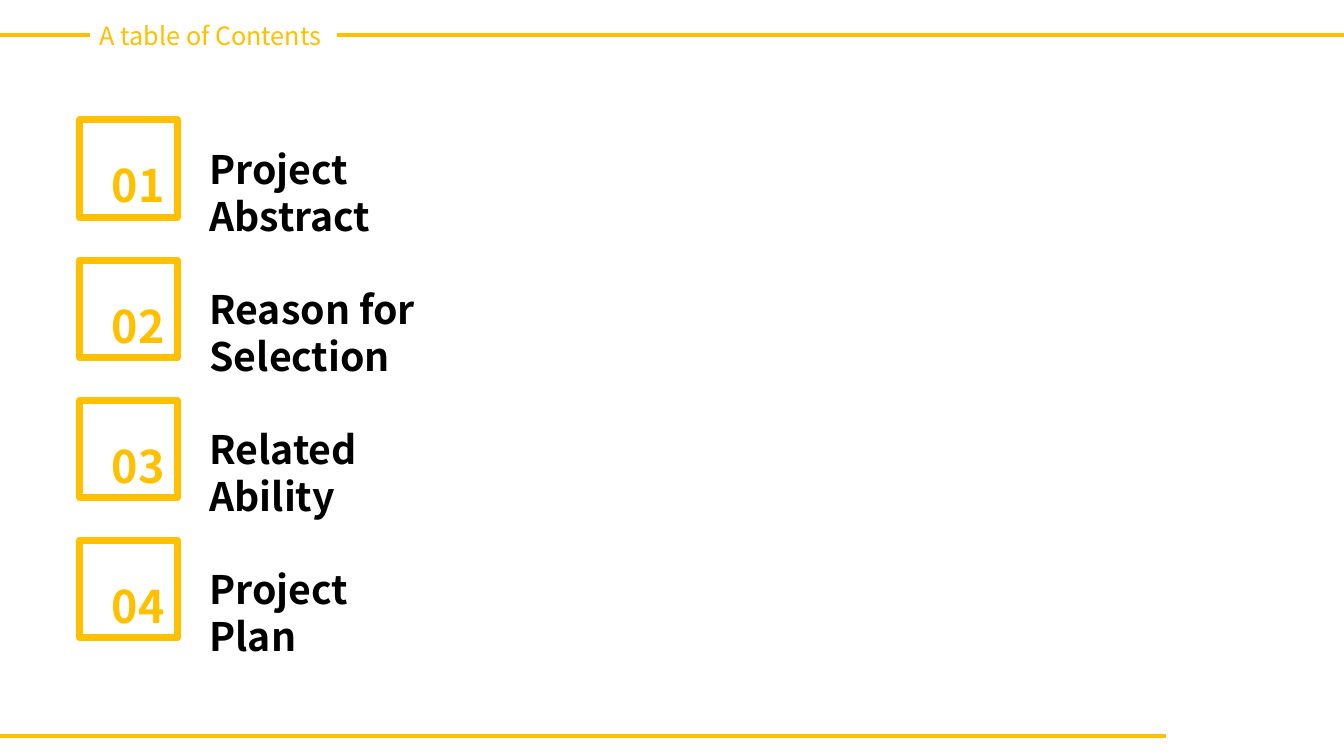
from lxml.etree import SubElement
from pptx import Presentation
from pptx.dml.color import RGBColor
from pptx.enum.shapes import MSO_CONNECTOR, MSO_SHAPE
from pptx.oxml.ns import qn
from pptx.util import Inches, Pt

WIDTH, HEIGHT = 13.33, 7.5
GOLD, BLACK = "FFC000", "000000"
TYPEFACE = "Noto Sans CJK KR"
FIRST_ROW, ROW_PITCH = 1.19, 1.39
BADGE_LEFT, BADGE_SIZE = 0.79, 0.97
NUMBER_LEFT, TOPIC_LEFT = 1.01, 1.98
RULE_TOP, RULE_BOTTOM = 0.35, 7.3
HEADING_LEFT, HEADING_WIDTH = 0.89, 2.45

HEADING_STYLE = {"name": TYPEFACE, "size": Pt(18)}
NUMBER_STYLE = {"name": TYPEFACE, "size": Pt(32), "bold": True}
TOPIC_STYLE = {"name": TYPEFACE, "size": Pt(28), "bold": True}

TOPICS = [
    ("Project Abstract", 3.11),
    ("Reason for Selection", 3.88),
    ("Related Ability", 2.77),
    ("Project Plan", 2.33),
]


def paint(color_format, hex_value):
    """Apply a hex colour to a fill or font colour."""
    color_format.rgb = RGBColor.from_string(hex_value)


def add_rule(slide, start, end, y):
    """Draw a horizontal gold rule."""
    rule = slide.shapes.add_connector(
        MSO_CONNECTOR.STRAIGHT, Inches(start), Inches(y), Inches(end), Inches(y)
    )
    rule.line.width = Pt(3)
    paint(rule.line.color, GOLD)
    SubElement(rule._element.spPr, qn("a:effectLst"))


def add_label(slide, words, box, style, hex_value):
    """Place one line of styled text that wraps within its box."""
    label = slide.shapes.add_textbox(*map(Inches, box))
    label.text_frame.word_wrap = True
    run = label.text_frame.paragraphs[0].add_run()
    run.text = words
    for attribute, value in style.items():
        setattr(run.font, attribute, value)
    paint(run.font.color, hex_value)


def add_badge(slide, top):
    """Draw the hollow square that frames a number."""
    badge = slide.shapes.add_shape(
        MSO_SHAPE.RECTANGLE, *map(Inches, (BADGE_LEFT, top, BADGE_SIZE, BADGE_SIZE))
    )
    badge.shadow.inherit = False
    badge.fill.background()
    badge.line.width = Pt(5)
    paint(badge.line.color, GOLD)


def add_entry(slide, row, topic, topic_width):
    """Add one numbered row of the contents list."""
    top = FIRST_ROW + row * ROW_PITCH
    add_badge(slide, top)
    number_box = (NUMBER_LEFT, top + 0.33, 0.75, 0.64)
    add_label(slide, f"{row + 1:02}", number_box, NUMBER_STYLE, GOLD)
    topic_box = (TOPIC_LEFT, top + 0.2, topic_width, 0.57)
    add_label(slide, topic, topic_box, TOPIC_STYLE, BLACK)


def main():
    """Build the contents slide and save it."""
    deck = Presentation()
    deck.slide_width, deck.slide_height = Inches(WIDTH), Inches(HEIGHT)
    slide = deck.slides.add_slide(deck.slide_layouts[6])
    add_rule(slide, 0, HEADING_LEFT, RULE_TOP)
    add_rule(slide, HEADING_LEFT + HEADING_WIDTH, WIDTH, RULE_TOP)
    add_rule(slide, 0, 11.56, RULE_BOTTOM)
    heading_box = (HEADING_LEFT, 0.15, HEADING_WIDTH, 0.4)
    add_label(slide, "A table of Contents", heading_box, HEADING_STYLE, GOLD)
    for row, (topic, topic_width) in enumerate(TOPICS):
        add_entry(slide, row, topic, topic_width)
    deck.save("out.pptx")


if __name__ == "__main__":
    main()
